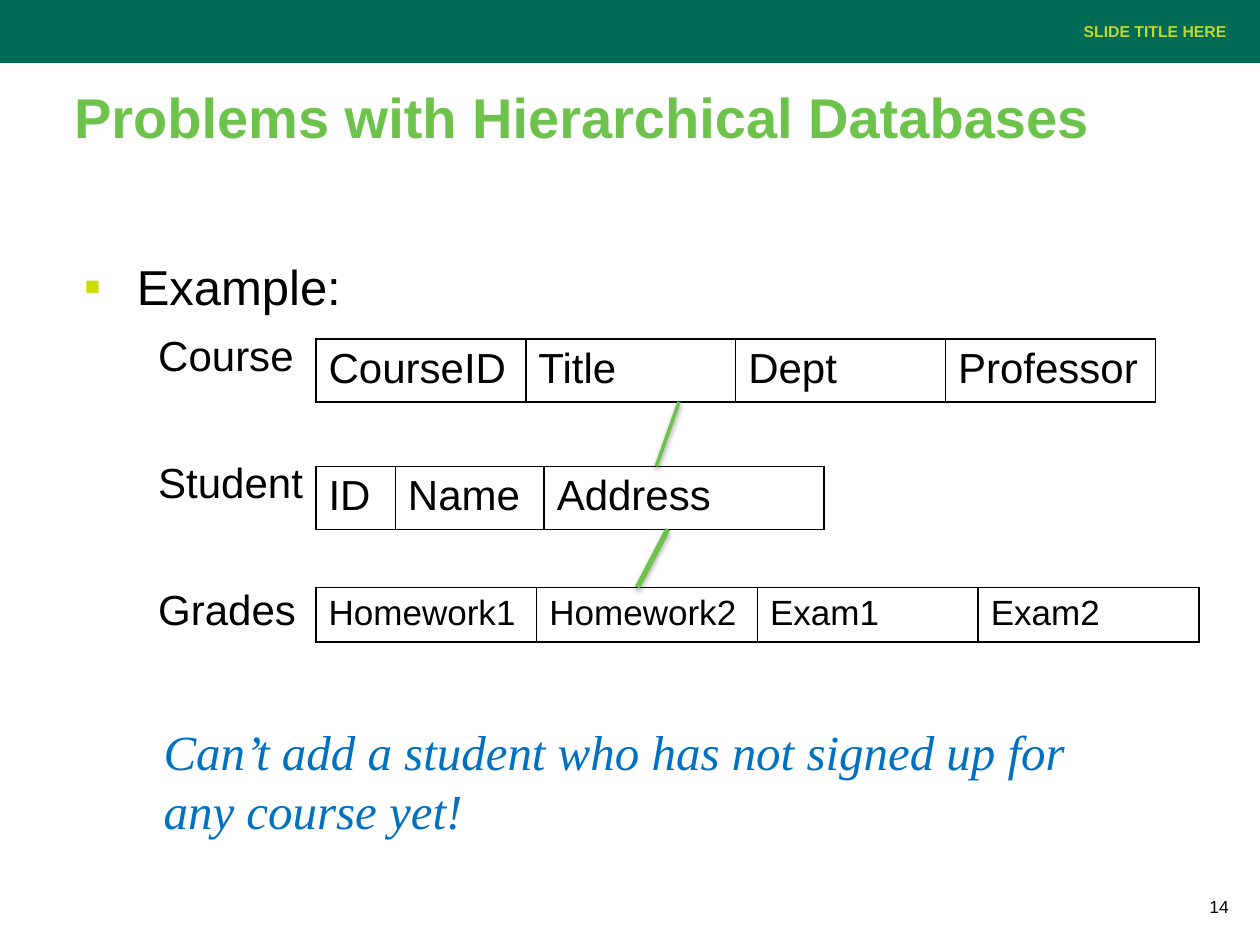
from lxml.etree import SubElement
from pptx import Presentation
from pptx.dml.color import RGBColor
from pptx.enum.shapes import MSO_CONNECTOR, MSO_SHAPE
from pptx.enum.text import MSO_ANCHOR, PP_ALIGN
from pptx.oxml.ns import qn
from pptx.util import Cm, Pt

BLACK, DARK_GREEN, GREEN, LIME = "000000", "006B54", "6CC24A", "C2D72E"
BULLET_LIME, BLUE = "CEDC00", "0070C0"


def color(value):
    return RGBColor.from_string(value)


def add_element(parent, tag, **attributes):
    return SubElement(parent, qn(tag), {key: str(value) for key, value in attributes.items()})


def write(paragraph, text, size=24, font="Arial", fill=BLACK, bold=False, italic=False,
          align=PP_ALIGN.LEFT, line_spacing=1.0, space_before=0):
    paragraph.alignment = align
    paragraph.line_spacing = line_spacing
    paragraph.space_before = Pt(space_before)
    run = paragraph.add_run()
    run.text = text
    run.font.size, run.font.name = Pt(size), font
    run.font.bold, run.font.italic = bold, italic
    run.font.color.rgb = color(fill)


class SlideBuilder:
    """Hold the style and the current slide, with a method for each kind of element."""

    def __init__(self, presentation):
        self.slide = presentation.slides.add_slide(presentation.slide_layouts[5])
        self.shapes = self.slide.shapes

    def band(self, left, top, width, height, fill):
        shape = self.shapes.add_shape(MSO_SHAPE.RECTANGLE, Cm(left), Cm(top), Cm(width), Cm(height))
        shape.shadow.inherit = False
        shape.fill.solid()
        shape.fill.fore_color.rgb = color(fill)
        shape.line.fill.background()

    def title(self, text, left, top, width, height):
        shape = self.shapes.title
        shape.left, shape.top, shape.width, shape.height = Cm(left), Cm(top), Cm(width), Cm(height)
        shape.text_frame.vertical_anchor = MSO_ANCHOR.TOP
        write(shape.text_frame.paragraphs[0], text, size=32, fill=GREEN, bold=True, line_spacing=0.9)

    def text_box(self, left, top, width, height, anchor=MSO_ANCHOR.TOP):
        shape = self.shapes.add_textbox(Cm(left), Cm(top), Cm(width), Cm(height))
        shape.text_frame.word_wrap = True
        shape.text_frame.vertical_anchor = anchor
        return shape.text_frame

    def text(self, text, left, top, width, height, anchor=MSO_ANCHOR.TOP, **style):
        write(self.text_box(left, top, width, height, anchor).paragraphs[0], text, **style)

    def outline(self, heading, labels, left, top, width, height):
        frame = self.text_box(left, top, width, height)
        paragraph = frame.paragraphs[0]
        write(paragraph, heading, size=28, line_spacing=1.1, space_before=11)
        self.indent(paragraph, 1.27, -1.07)
        properties = paragraph._p.get_or_add_pPr()
        add_element(add_element(properties, "a:buClr"), "a:srgbClr", val=BULLET_LIME)
        add_element(properties, "a:buFont", typeface="Arial")
        add_element(properties, "a:buChar", char="▪")
        for index, label in enumerate(labels):
            paragraph = frame.add_paragraph()
            write(paragraph, label, line_spacing=1.1, space_before=41 if index else 5)
            self.indent(paragraph, 2.54, -0.84)
            add_element(paragraph._p.get_or_add_pPr(), "a:buNone")

    def indent(self, paragraph, margin, first_line):
        properties = paragraph._p.get_or_add_pPr()
        properties.set("marL", str(Cm(margin)))
        properties.set("indent", str(Cm(first_line)))

    def record(self, fields, widths, top, height, size=24, left=6.37):
        frame = self.shapes.add_table(1, len(fields), Cm(left), Cm(top), Cm(sum(widths)), Cm(height))
        table = frame.table
        table.first_row = table.horz_banding = False
        for column, width, cell, field in zip(table.columns, widths, table.rows[0].cells, fields):
            column.width = Cm(width)
            write(cell.text_frame.paragraphs[0], field, size=size)
            self.cell_borders(cell)
            cell.fill.background()

    def cell_borders(self, cell):
        properties = cell._tc.get_or_add_tcPr()
        for side in ("a:lnL", "a:lnR", "a:lnT", "a:lnB"):
            line = add_element(properties, side, w=Pt(1))
            add_element(add_element(line, "a:solidFill"), "a:srgbClr", val=BLACK)

    def link(self, start, end, width, shadow_distance, shadow_opacity):
        points = [Cm(value) for value in start + end]
        connector = self.shapes.add_connector(MSO_CONNECTOR.STRAIGHT, *points)
        connector.line.color.rgb = color(GREEN)
        connector.line.width = Pt(width)
        effects = add_element(connector._element.spPr, "a:effectLst")
        shadow = add_element(effects, "a:outerShdw", blurRad=Pt(3.1), dist=Pt(shadow_distance),
                             dir=90 * 60000, rotWithShape=0)
        shade = add_element(shadow, "a:srgbClr", val=BLACK)
        add_element(shade, "a:alpha", val=shadow_opacity * 1000)


def main():
    presentation = Presentation()
    presentation.slide_width, presentation.slide_height = Cm(25.4), Cm(19.05)
    builder = SlideBuilder(presentation)
    builder.band(0, 0, 25.4, 1.27, DARK_GREEN)
    builder.text("14", 24.13, 17.78, 1.27, 0.84, MSO_ANCHOR.BOTTOM, size=10)
    builder.text("SLIDE TITLE HERE", 4.01, 0, 20.96, 1.27, MSO_ANCHOR.MIDDLE,
                 size=9, fill=LIME, bold=True, align=PP_ALIGN.RIGHT)
    builder.title("Problems with Hierarchical Databases", 1.24, 1.68, 22.91, 2.18)
    builder.outline("Example:", ["Course", "Student", "Grades"], 1.24, 4.93, 22.66, 12.07)
    builder.record(["CourseID", "Title", "Dept", "Professor"], [4.23] * 4, 6.83, 1.21)
    builder.record(["ID", "Name", "Address"], [1.6, 3, 5.64], 9.4, 1.21)
    builder.record(["Homework1", "Homework2", "Exam1", "Exam2"], [4.45] * 4, 11.84, 1.05, size=20)
    builder.text("Can’t add a student who has not signed up for any course yet!",
                 3.05, 14.43, 19.05, 2.64, size=28, font="Times New Roman", fill=BLUE, italic=True)
    builder.link((13.69, 8.1), (13.23, 9.4), 2, 1.6, 38)
    builder.link((13.46, 10.67), (12.85, 11.84), 3, 1.8, 35)
    presentation.save("out.pptx")


if __name__ == "__main__":
    main()
